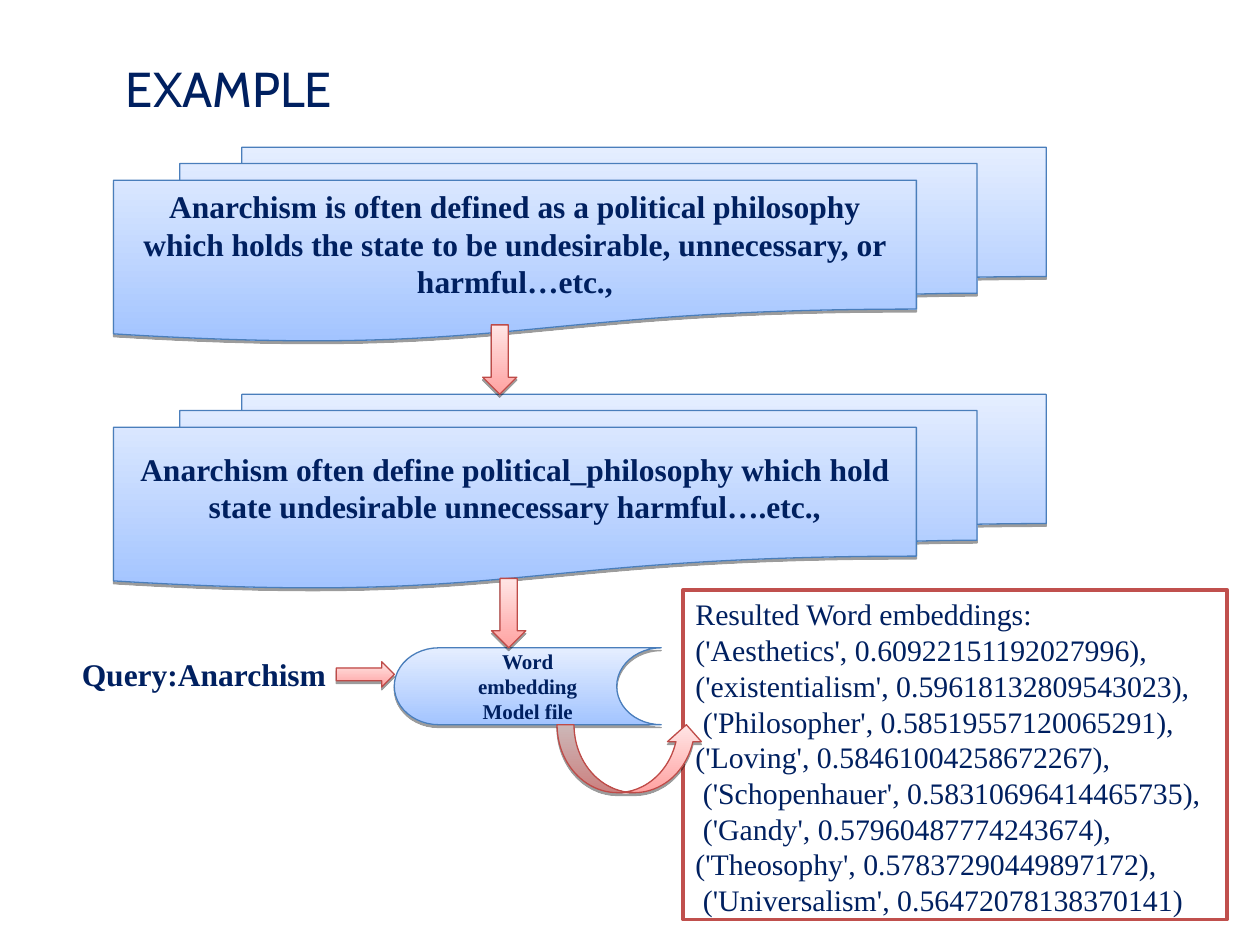
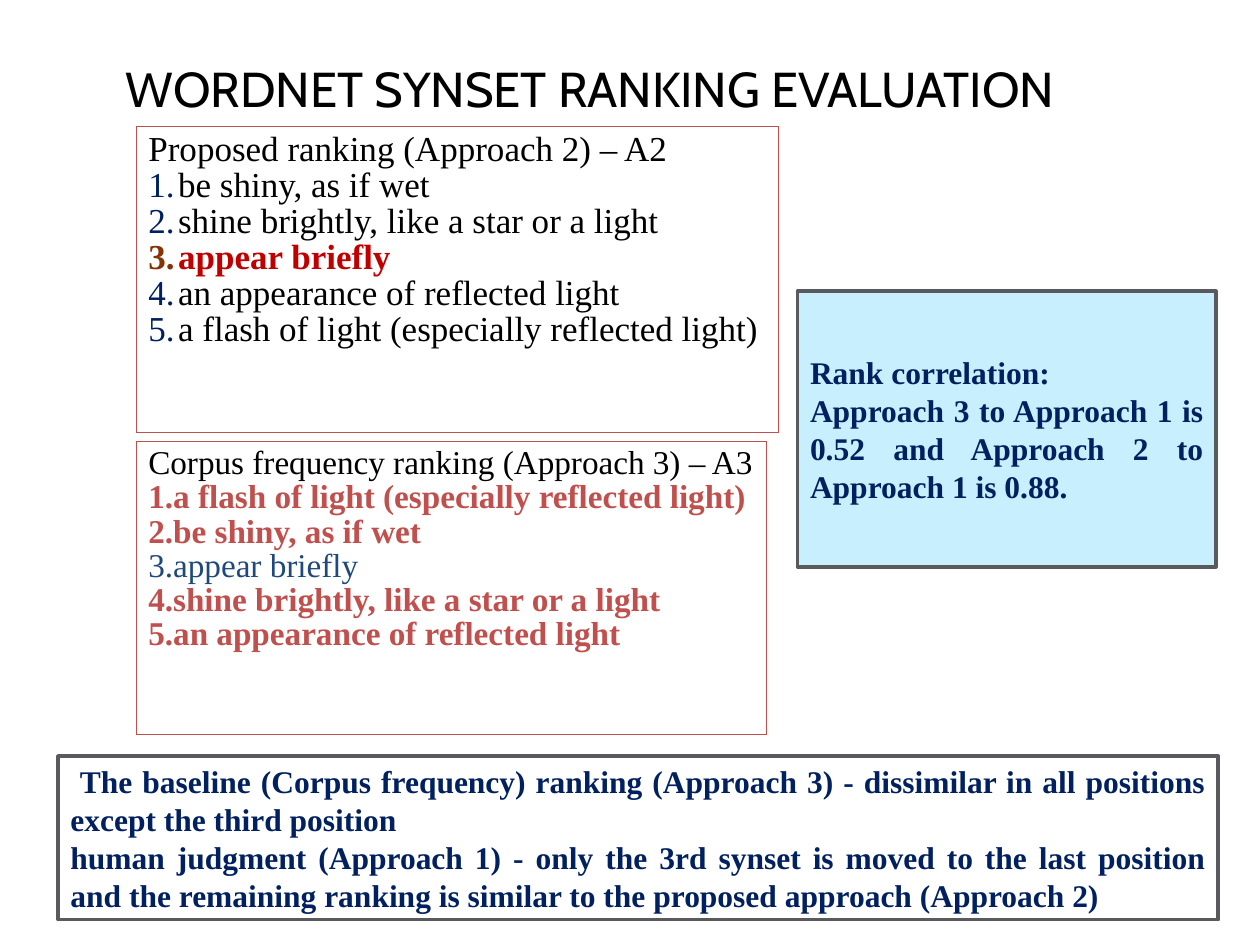
from lxml.etree import SubElement
from pptx import Presentation
from pptx.dml.color import RGBColor
from pptx.enum.shapes import MSO_SHAPE as Kind
from pptx.enum.text import MSO_ANCHOR as Anchor, PP_ALIGN as Align
from pptx.oxml.ns import qn
from pptx.util import Cm, Pt

HUES = {
    "navy": "002060", "black": "000000", "white": "FFFFFF", "slate": "595A5D",
    "red": "C0504D", "deep": "C00000", "rust": "863204", "steel": "1F497D",
    "sky": "C8EFFD", "pale": "E5EEFF", "blue": "A3C4FF", "edge": "4A7EBB",
    "blush": "FFE5E5", "rose": "FFA2A1", "brick": "BE4B48",
}
BLUE = ("pale", "blue", "edge")
PINK = ("blush", "rose", "brick")
SERIF = "Times New Roman"
BODY = {"name": SERIF, "size": Pt(18), "bold": True, "hue": "navy"}
PLAIN = {**BODY, "size": Pt(17), "bold": False}
HEAD = {"name": "Cabin", "size": Pt(28), "bold": False, "hue": "navy"}
SMALL = {**BODY, "size": Pt(12)}
FRAME = {
    "word_wrap": True, "vertical_anchor": Anchor.MIDDLE,
    "margin_left": Cm(0.25), "margin_right": Cm(0.25),
    "margin_top": Cm(0.13), "margin_bottom": Cm(0.13),
}
TOP = {"vertical_anchor": Anchor.TOP}


def tint(name):
    return RGBColor.from_string(HUES[name])


def apply(item, form):
    for key, value in form.items():
        if key == "hue":
            item.color.rgb = tint(value)
        else:
            setattr(item, key, value)


class Deck:
    def __init__(self):
        self.show = Presentation()
        self.show.slide_width, self.show.slide_height = Cm(25.4), Cm(19.05)
        self.slide = None

    def page(self, title, hue):
        self.slide = self.show.slides.add_slide(self.show.slide_layouts[6])
        self.label((2.29, 1.02, 20.9, 1.52), title, {**HEAD, "hue": hue})

    def fill_in(self, frame, lines, font, align=Align.LEFT, form=None):
        apply(frame, {**FRAME, **(form or {})})
        for place, line in enumerate(lines):
            para = frame.add_paragraph() if place else frame.paragraphs[0]
            para.alignment = align
            run = para.add_run()
            run.text = line
            apply(run.font, font)

    def label(self, area, line, font):
        box = self.slide.shapes.add_textbox(*map(Cm, area))
        self.fill_in(box.text_frame, [line], font)

    def box(self, area, lines, font, align, fill, edge, form=None):
        box = self.slide.shapes.add_shape(Kind.RECTANGLE, *map(Cm, area))
        box.shadow.inherit = False
        box.fill.solid()
        box.fill.fore_color.rgb = tint(fill)
        box.line.color.rgb = tint(edge)
        box.line.width = Pt(2)
        self.fill_in(box.text_frame, lines, font, align, form)

    def shape(self, kind, area, look, line=None, font=BODY, form=None):
        shape = self.slide.shapes.add_shape(kind, *map(Cm, area))
        start, end, edge = look
        shape.fill.gradient()
        shape.fill.gradient_angle = 270
        for stop, name in zip(shape.fill.gradient_stops, (start, end)):
            stop.color.rgb = tint(name)
        shape.line.color.rgb = tint(edge)
        shape.line.width = Pt(0.75)
        self.shade(shape)
        if line:
            self.fill_in(shape.text_frame, [line], font, Align.CENTER, form)

    def shade(self, shape):
        shape.shadow.inherit = False
        group = shape._element.spPr.find(qn("a:effectLst"))
        cast = SubElement(group, qn("a:outerShdw"), blurRad="0",
                          dist=str(Pt(1.6)), dir="5400000", rotWithShape="0")
        color = SubElement(cast, qn("a:srgbClr"), val=HUES["black"])
        SubElement(color, qn("a:alpha"), val="38000")

    def table(self, area, title, rows, size, marks=()):
        frame = self.slide.shapes.add_table(1, 1, *map(Cm, area))
        cell = frame.table.cell(0, 0)
        cell.fill.solid()
        cell.fill.fore_color.rgb = tint("white")
        font = {"name": SERIF, "size": Pt(size), "bold": False, "hue": "black"}
        lines = [title] + [line for line, _, _ in rows]
        self.fill_in(cell.text_frame, lines, font)
        apply(cell, {key: FRAME[key] for key in FRAME if key != "word_wrap"})
        cell.vertical_anchor = Anchor.TOP
        paras = cell.text_frame.paragraphs
        for para in paras:
            para.line_spacing = 0.93
        for para, (_, hue, bold) in zip(paras[1:], rows):
            apply(para.runs[0].font, {"hue": hue, "bold": bold})
        for para, mark in zip(paras[1:], marks):
            self.number(para, mark)
        self.rim(cell, "red")

    def number(self, para, hue):
        form = para._p.get_or_add_pPr()
        form.set("marL", str(Cm(0.6)))
        form.set("indent", str(-Cm(0.6)))
        color = SubElement(form, qn("a:buClr"))
        SubElement(color, qn("a:srgbClr"), val=HUES[hue])
        SubElement(form, qn("a:buFont"), typeface=SERIF)
        SubElement(form, qn("a:buAutoNum"), type="arabicPeriod")

    def rim(self, cell, hue):
        form = cell._tc.get_or_add_tcPr()
        for place, side in enumerate(("lnL", "lnR", "lnT", "lnB")):
            line = SubElement(form, qn("a:" + side), w=str(Pt(0.23)))
            fill = SubElement(line, qn("a:solidFill"))
            SubElement(fill, qn("a:srgbClr"), val=HUES[hue])
            form.insert(place, line)


def sample(deck):
    deck.page("EXAMPLE", "navy")
    deck.label((1.4, 13.09, 5.6, 1), "Query:Anarchism", BODY)
    deck.box((13.77, 11.89, 10.97, 6.65), [
        "Resulted Word embeddings:",
        "('Aesthetics', 0.60922151192027996),",
        "('existentialism', 0.59618132809543023),",
        " ('Philosopher', 0.58519557120065291),",
        "('Loving', 0.58461004258672267),",
        " ('Schopenhauer', 0.58310696414465735),",
        " ('Gandy', 0.57960487774243674),",
        "('Theosophy', 0.57837290449897172),",
        " ('Universalism', 0.56472078138370141)",
    ], PLAIN, Align.LEFT, "white", "red", TOP)
    stacks = [
        (2.97, 0.13, "Anarchism is often defined as a political philosophy which "
         "holds the state to be undesirable, unnecessary, or harmful…etc.,"),
        (7.95, 0.45, "Anarchism often define political_philosophy which hold "
         "state undesirable unnecessary harmful….etc.,"),
    ]
    for top, gap, line in stacks:
        deck.shape(Kind.FLOWCHART_MULTIDOCUMENT, (2.29, top, 18.8, 3.91), BLUE,
                   line, BODY, {**TOP, "margin_top": Cm(gap)})
    deck.shape(Kind.FLOWCHART_STORED_DATA, (7.95, 13.06, 5.38, 1.55), BLUE,
               "Word embedding Model file", SMALL,
               {"margin_left": Cm(0.5), "margin_right": Cm(0.5)})
    arrows = [
        (Kind.DOWN_ARROW, (9.73, 6.55, 0.69, 1.4)),
        (Kind.RIGHT_ARROW, (6.78, 13.34, 1.17, 0.51)),
        (Kind.CURVED_UP_ARROW, (11.23, 14.61, 2.95, 1.37)),
        (Kind.DOWN_ARROW, (9.91, 11.66, 0.69, 1.4)),
    ]
    for kind, area in arrows:
        deck.shape(kind, area, PINK)


def ranking(deck):
    deck.page("WORDNET SYNSET RANKING EVALUATION", "black")
    deck.table((2.74, 2.54, 12.95, 6.17), "Proposed ranking (Approach 2) – A2", [
        ("be shiny, as if wet", "black", False),
        ("shine brightly, like a star or a light", "black", False),
        ("appear briefly", "deep", True),
        ("an appearance of reflected light", "black", False),
        ("a flash of light (especially reflected light)", "black", False),
    ], 20, ("navy", "navy", "rust", "navy", "navy"))
    deck.table((2.74, 8.89, 12.7, 5.92),
               "Corpus frequency ranking (Approach 3) – A3", [
        ("1.a flash of light (especially reflected light)", "red", True),
        ("2.be shiny, as if wet", "red", True),
        ("3.appear briefly", "steel", False),
        ("4.shine brightly, like a star or a light", "red", True),
        ("5.an appearance of reflected light", "red", True),
    ], 19)
    deck.box((1.17, 15.24, 23.39, 3.3), [
        " The baseline (Corpus frequency) ranking (Approach 3) - dissimilar in "
        "all positions except the third position",
        "human judgment (Approach 1) - only the 3rd synset is moved to the last "
        "position and the remaining ranking is similar to the proposed approach "
        "(Approach 2)",
    ], BODY, Align.JUSTIFY, "white", "slate")
    deck.box((16.08, 5.87, 8.43, 5.56), [
        "Rank correlation:",
        "Approach 3 to Approach 1 is 0.52 and Approach 2 to Approach 1 is 0.88.",
    ], BODY, Align.JUSTIFY, "sky", "slate")


def main():
    deck = Deck()
    sample(deck)
    ranking(deck)
    deck.show.save("out.pptx")


if __name__ == "__main__":
    main()
